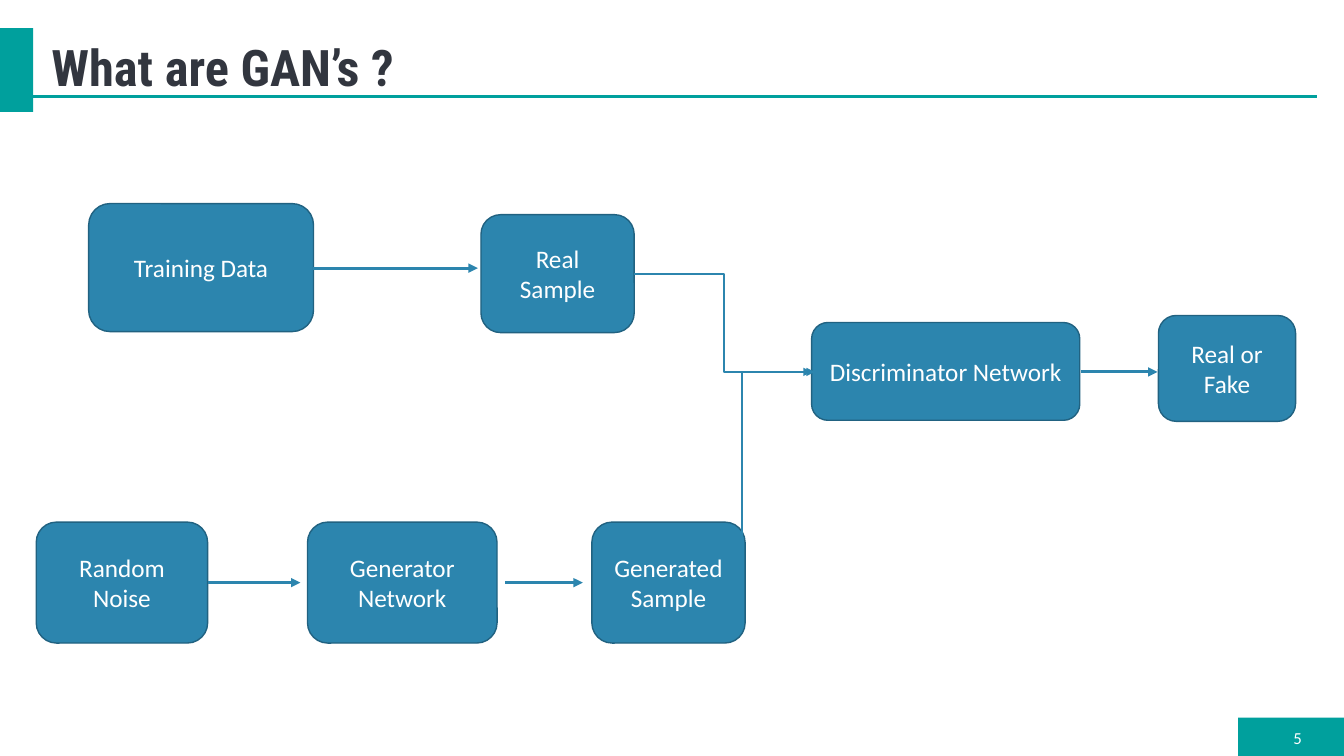
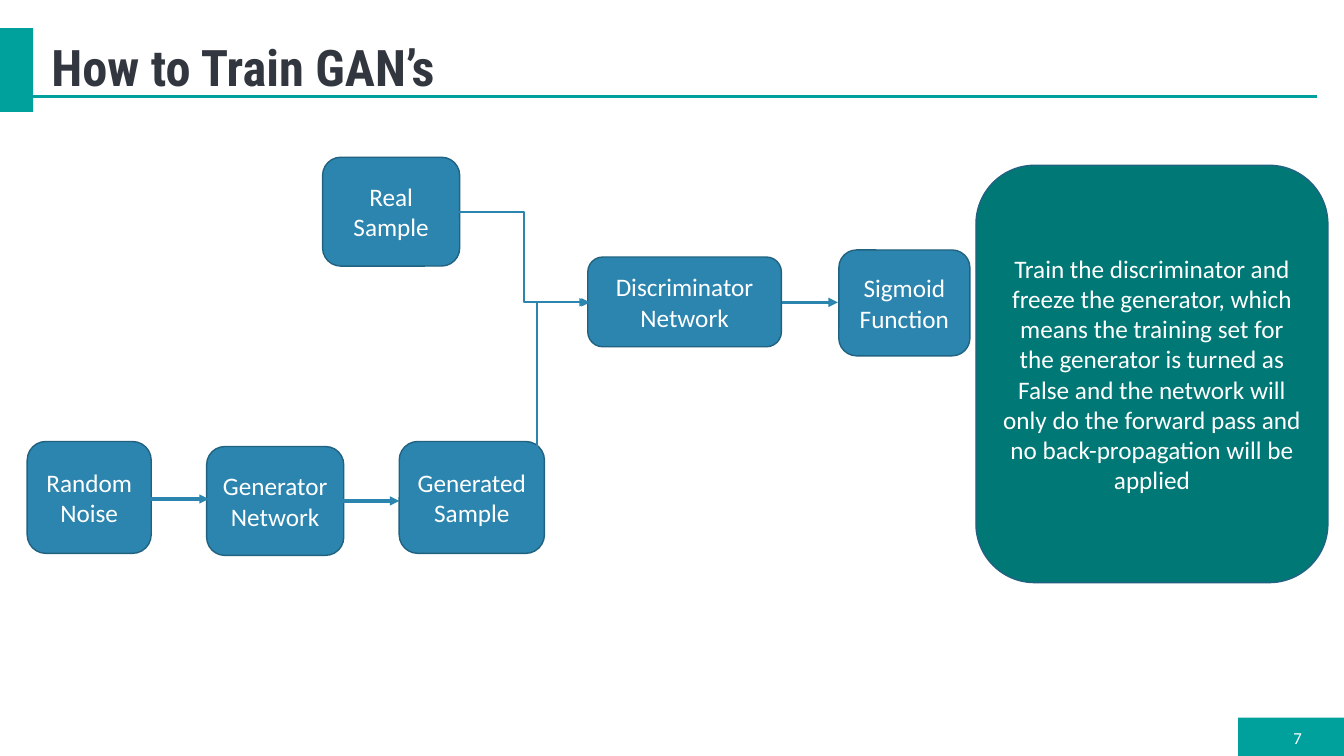
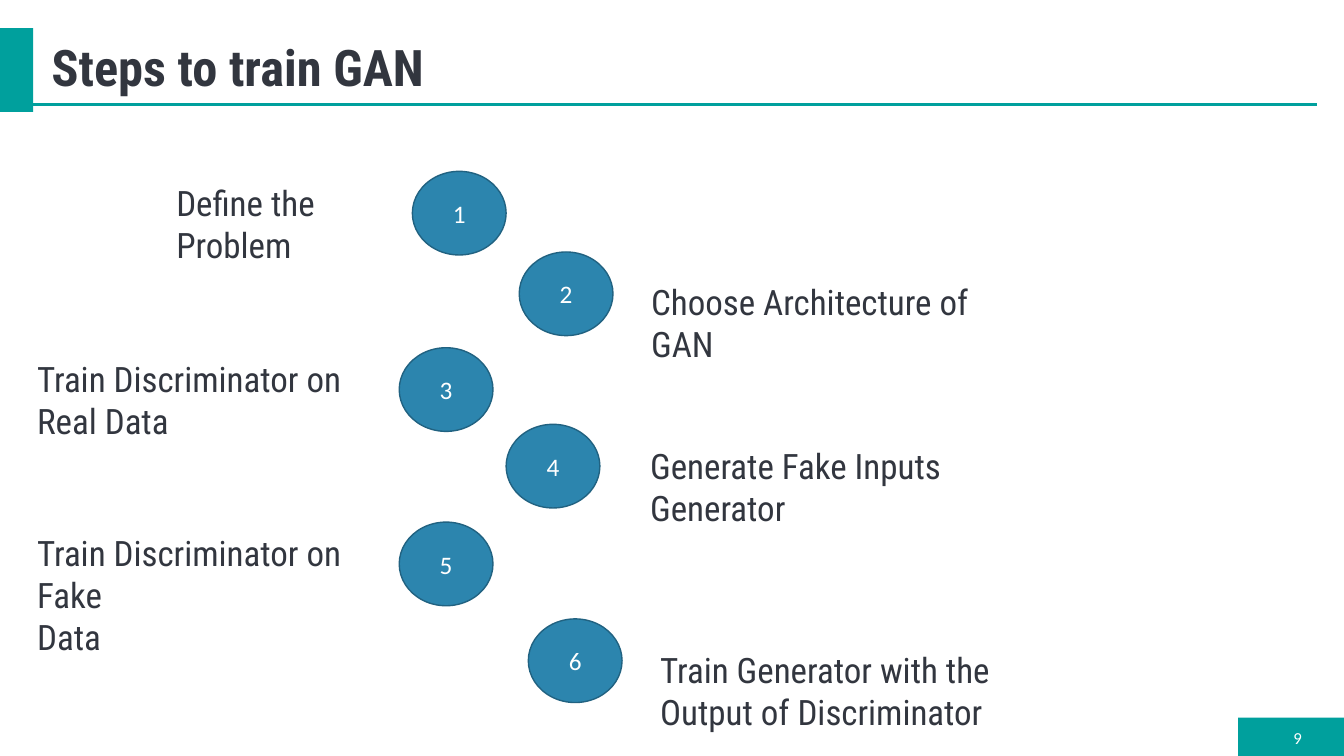
import pptx
import pptx.util
import pptx.dml.color
import pptx.enum.shapes
import pptx.enum.text
import pptx.oxml.ns
import lxml.etree

Inches = pptx.util.Inches
RGBColor = pptx.dml.color.RGBColor
Shape = pptx.enum.shapes.MSO_SHAPE
Connector = pptx.enum.shapes.MSO_CONNECTOR
Align = pptx.enum.text.PP_ALIGN
Anchor = pptx.enum.text.MSO_ANCHOR
AutoSize = pptx.enum.text.MSO_AUTO_SIZE
qn = pptx.oxml.ns.qn

TEAL = RGBColor(0x00, 0xA0, 0x9D)
DEEP_TEAL = RGBColor(0x00, 0x78, 0x76)
BLUE = RGBColor(0x2C, 0x85, 0xAE)
EDGE = RGBColor(0x21, 0x62, 0x81)
INK = RGBColor(0x32, 0x36, 0x3F)
WHITE = RGBColor(0xFF, 0xFF, 0xFF)
HEADING_FONT = "Roboto Condensed"
BODY_FONT = "Calibri"


def write_text(frame, lines, font, size, color, align, anchor, bold=False):
    frame.word_wrap = True
    frame.vertical_anchor = anchor
    for index, line in enumerate(lines):
        para = frame.add_paragraph() if index else frame.paragraphs[0]
        para.alignment = align
        span = para.add_run()
        span.text = line
        span.font.name = font
        span.font.size = pptx.util.Pt(size)
        span.font.color.rgb = color
        span.font.bold = bold


def add_line(page, kind, start, end, color, width, arrow):
    line = page.shapes.add_connector(kind, *map(Inches, start + end))
    line.line.color.rgb = color
    line.line.width = pptx.util.Pt(width)
    if arrow:
        outline = line.line._get_or_add_ln()
        lxml.etree.SubElement(outline, qn("a:tailEnd"), type="triangle")
    lxml.etree.SubElement(line.element.spPr, qn("a:effectLst"))
    return line


deck = pptx.Presentation()
deck.slide_width = Inches(13.33)
deck.slide_height = Inches(7.5)
layout = deck.slide_layouts[5]
layout_title = layout.placeholders[0]
layout_title.left, layout_title.top = Inches(0.41), Inches(0.28)
layout_title.width, layout_title.height = Inches(12.6), Inches(0.83)

STEP_SIZE = (0.93, 0.83)
steps = [
    ((4.09, 1.7), (1.65, 1.75, 2.31, 0.52), ["Define the Problem"]),
    ((5.15, 2.5), (6.36, 2.73, 3.36, 0.52), ["Choose Architecture of GAN"]),
    ((3.96, 3.45), (0.27, 3.5, 3.61, 0.94), ["Train Discriminator on Real Data"]),
    ((5.02, 4.21), (6.35, 4.36, 3.79, 0.52), ["Generate Fake Inputs Generator"]),
    ((3.96, 5.18), (0.27, 5.22, 3.61, 0.94), ["Train Discriminator on Fake", "Data"]),
    ((5.24, 6.14), (6.45, 6.38, 4.16, 0.94),
     ["Train Generator with the Output of Discriminator"]),
]

slides = [
    {
        "title": "What are GAN’s ?",
        "number": "5",
        "rule": 0.96,
        "boxes": [
            (Shape.ROUNDED_RECTANGLE, (0.88, 2.02, 2.23, 1.27), BLUE, "Training Data"),
            (Shape.ROUNDED_RECTANGLE, (0.36, 5.18, 1.7, 1.2), BLUE, "Random Noise"),
            (Shape.ROUNDED_RECTANGLE, (4.77, 2.13, 1.52, 1.17), BLUE, "Real Sample"),
            (Shape.ROUNDED_RECTANGLE, (3.05, 5.18, 1.88, 1.2), BLUE, "Generator Network"),
            (Shape.ROUNDED_RECTANGLE, (5.87, 5.18, 1.52, 1.2), BLUE, "Generated Sample"),
            (Shape.ROUNDED_RECTANGLE, (8.05, 3.2, 2.66, 0.97), BLUE, "Discriminator Network"),
            (Shape.ROUNDED_RECTANGLE, (11.49, 3.13, 1.36, 1.05), BLUE, "Real or Fake"),
        ],
        "arrows": [
            ((3.1, 2.66), (4.74, 2.66)),
            ((2.06, 5.78), (2.98, 5.78)),
            ((5.01, 5.78), (5.78, 5.78)),
            ((10.72, 3.69), (11.48, 3.69)),
        ],
        "elbows": [((6.29, 2.72), (8.08, 3.69))],
        "corners": [((7.36, 5.82), (8.05, 3.69))],
        "labels": [],
    },
    {
        "title": "How to Train GAN’s",
        "number": "7",
        "rule": 0.96,
        "boxes": [
            (Shape.ROUNDED_RECTANGLE, (0.27, 4.38, 1.23, 1.11), BLUE, "Random Noise"),
            (Shape.ROUNDED_RECTANGLE, (3.2, 1.56, 1.36, 1.08), BLUE, "Real Sample"),
            (Shape.ROUNDED_RECTANGLE, (2.05, 4.43, 1.36, 1.08), BLUE, "Generator Network"),
            (Shape.ROUNDED_RECTANGLE, (3.96, 4.38, 1.44, 1.11), BLUE, "Generated Sample"),
            (Shape.ROUNDED_RECTANGLE, (5.83, 2.55, 1.92, 0.89), BLUE, "Discriminator Network"),
            (Shape.ROUNDED_RECTANGLE, (8.32, 2.48, 1.3, 1.05), BLUE, "Sigmoid Function"),
            (Shape.ROUNDED_RECTANGLE, (9.68, 1.64, 3.49, 4.14), DEEP_TEAL,
             "Train the discriminator and freeze the generator, which means the "
             "training set for the generator is turned as False and the network "
             "will only do the forward pass and no back-propagation will be applied"),
        ],
        "arrows": [
            ((1.41, 4.95), (2.07, 4.95)),
            ((3.4, 4.97), (3.96, 4.97)),
            ((7.76, 3), (8.31, 3)),
        ],
        "elbows": [((4.55, 2.1), (5.85, 3))],
        "corners": [((5.33, 4.97), (5.83, 3))],
        "labels": [],
    },
    {
        "title": "Steps to train GAN",
        "number": "9",
        "rule": 1.04,
        "boxes": [
            (Shape.OVAL, corner + STEP_SIZE, BLUE, str(count))
            for count, (corner, area, lines) in enumerate(steps, 1)
        ],
        "arrows": [],
        "elbows": [],
        "corners": [],
        "labels": [(area, lines) for corner, area, lines in steps],
    },
]

pages = [deck.slides.add_slide(layout) for content in slides]

for area in [(12.28, 7.12, 1.05, 0.38), (0, 0.28, 0.33, 0.83)]:
    band = pages[0].shapes.add_shape(Shape.RECTANGLE, *map(Inches, area))
    band.shadow.inherit = False
    band.fill.solid()
    band.fill.fore_color.rgb = TEAL
    band.line.fill.background()
    layout.shapes.element.append(band.element)

for page, content in zip(pages, slides):
    title = page.shapes.title.text_frame
    title.auto_size = AutoSize.NONE
    write_text(title, [content["title"]], HEADING_FONT, 36, INK, Align.LEFT, Anchor.MIDDLE, True)
    title.paragraphs[0].line_spacing = 0.9

    number = page.shapes.add_textbox(Inches(12.6), Inches(7.2), Inches(0.41), Inches(0.23))
    write_text(number.text_frame, [content["number"]], BODY_FONT, 12, WHITE,
               Align.RIGHT, Anchor.MIDDLE)

    rule = content["rule"]
    add_line(page, Connector.STRAIGHT, (0.27, rule), (13.06, rule), TEAL, 2.25, False)

    for kind, area, fill, text in content["boxes"]:
        box = page.shapes.add_shape(kind, *map(Inches, area))
        box.shadow.inherit = False
        box.fill.solid()
        box.fill.fore_color.rgb = fill
        box.line.color.rgb = EDGE
        box.line.width = pptx.util.Pt(1)
        write_text(box.text_frame, [text], BODY_FONT, 18, WHITE, Align.CENTER, Anchor.MIDDLE)

    for start, end in content["arrows"]:
        add_line(page, Connector.STRAIGHT, start, end, BLUE, 2.25, True)

    for start, end in content["elbows"]:
        add_line(page, Connector.ELBOW, start, end, BLUE, 1.5, True)

    for start, end in content["corners"]:
        middle_x, middle_y = (start[0] + end[0]) / 2, (start[1] + end[1]) / 2
        half_rise, half_run = (start[1] - end[1]) / 2, (end[0] - start[0]) / 2
        corner = add_line(page, Connector.ELBOW,
                          (middle_x - half_rise, middle_y - half_run),
                          (middle_x + half_rise, middle_y + half_run), BLUE, 1.5, True)
        corner.element.spPr.find(qn("a:prstGeom")).set("prst", "bentConnector2")
        frame = corner.element.spPr.find(qn("a:xfrm"))
        frame.set("rot", "5400000")
        frame.set("flipH", "1")
        frame.set("flipV", "1")

    for area, lines in content["labels"]:
        label = page.shapes.add_textbox(*map(Inches, area)).text_frame
        write_text(label, lines, HEADING_FONT, 25, INK, Align.LEFT, Anchor.TOP)
        label.auto_size = AutoSize.SHAPE_TO_FIT_TEXT

deck.save("out.pptx")
